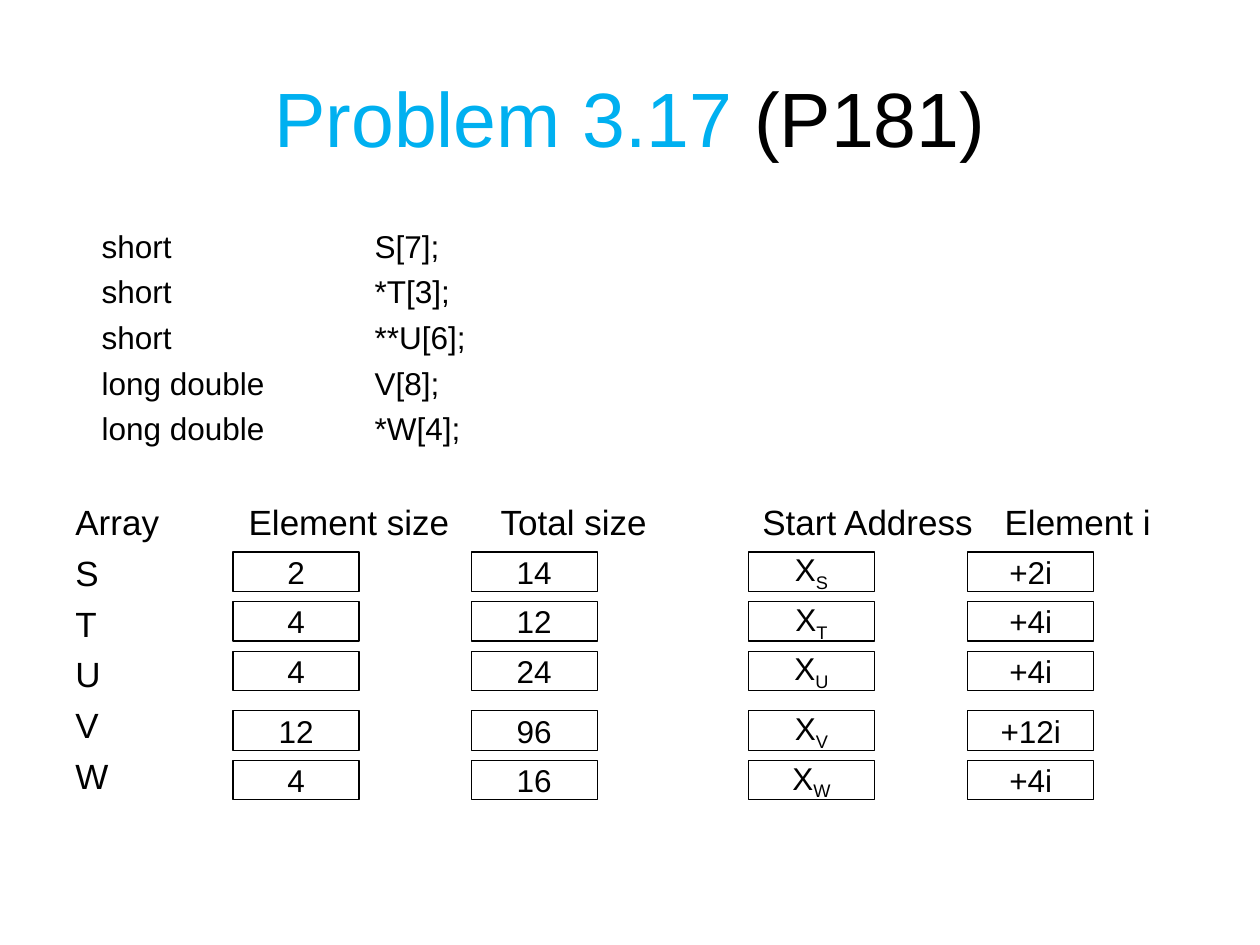
import pptx
import pptx.dml.color
import pptx.enum.shapes
import pptx.enum.text
import pptx.util

Pt = pptx.util.Pt
RGB = pptx.dml.color.RGBColor.from_string
ALIGN = pptx.enum.text.PP_ALIGN
ANCHOR = pptx.enum.text.MSO_ANCHOR

TITLE = [("Problem 3.17", "accent"), (" (P181)", "ink")]
DECLARATIONS = [
    "short\t\tS[7];",
    "short\t\t*T[3];",
    "short\t\t**U[6];",
    "long double\tV[8];",
    "long double\t*W[4];",
]
HEADINGS = "Array\tElement size\tTotal size\t Start Address\tElement i"
ANSWER_GROUPS = [
    [("S", "2", "14", "+2i"), ("T", "4", "12", "+4i"), ("U", "4", "24", "+4i")],
    [("V", "12", "96", "+12i"), ("W", "4", "16", "+4i")],
]

THEME = {
    "font": "Arial",
    "accent": RGB("00B0F0"),
    "ink": RGB("000000"),
    "paper": RGB("FFFFFF"),
    "title": 44,
    "code": 18,
    "heading": 20,
    "answer": 18,
    "line": 0.75,
}

HANGING = 27
CODE_INDENT = -12
TAB_STEP = 72
SPACING = 0.25
SECTION_GAP = 25.5
COLUMNS = (133.2, 269.3, 427.7, 553)
ANSWER_TOP, ANSWER_PITCH, GROUP_GAP = 315.4, 28.35, 5.67
ANSWER_SIZE = (72, 22.6)


def apply(obj, values):
    for name, value in values.items():
        setattr(obj, name, value)


def add_run(p, text, size, color="ink", baseline=None):
    r = p.add_run()
    r.text = text
    apply(r.font, {"name": THEME["font"], "size": Pt(THEME[size])})
    r.font.color.rgb = THEME[color]
    if baseline is not None:
        r._r.get_or_add_rPr().set("baseline", str(baseline))


def add_line(tf, text, size, first=False, indent=-HANGING, gap=0):
    p = tf.paragraphs[0] if first else tf.add_paragraph()
    p.space_before = Pt(0 if first else THEME[size] * SPACING + gap)
    pPr = p._p.get_or_add_pPr()
    for name, value in {"marL": HANGING, "indent": indent, "defTabSz": TAB_STEP}.items():
        pPr.set(name, str(Pt(value)))
    add_run(p, text, size)


def add_title(s):
    tf = s.shapes.add_textbox(Pt(36), Pt(21.6), Pt(648), Pt(90)).text_frame
    apply(tf, {"word_wrap": True, "vertical_anchor": ANCHOR.MIDDLE})
    p = tf.paragraphs[0]
    p.alignment = ALIGN.CENTER
    for text, color in TITLE:
        add_run(p, text, "title", color)


def add_body(s):
    tf = s.shapes.add_textbox(Pt(36), Pt(126), Pt(648), Pt(356.4)).text_frame
    tf.word_wrap = True
    for i, declaration in enumerate(DECLARATIONS):
        add_line(tf, declaration, "code", i == 0, CODE_INDENT)
    add_line(tf, HEADINGS, "heading", gap=SECTION_GAP)
    for group in ANSWER_GROUPS:
        for array, *_ in group:
            add_line(tf, array, "heading")


def add_answer(s, x, y, text, subscript=None):
    sp = s.shapes.add_shape(
        pptx.enum.shapes.MSO_SHAPE.RECTANGLE, Pt(x), Pt(y), *map(Pt, ANSWER_SIZE)
    )
    sp.shadow.inherit = False
    sp.fill.solid()
    sp.fill.fore_color.rgb = THEME["paper"]
    sp.line.color.rgb = THEME["ink"]
    sp.line.width = Pt(THEME["line"])
    tf = sp.text_frame
    apply(tf, {"word_wrap": False, "vertical_anchor": ANCHOR.MIDDLE})
    p = tf.paragraphs[0]
    p.alignment = ALIGN.CENTER
    add_run(p, text, "answer")
    if subscript:
        add_run(p, subscript, "answer", baseline=-25000)


def add_answers(s):
    y = ANSWER_TOP
    for group in ANSWER_GROUPS:
        for array, size, total, element in group:
            cells = ((size,), (total,), ("X", array), (element,))
            for x, cell in zip(COLUMNS, cells):
                add_answer(s, x, y, *cell)
            y += ANSWER_PITCH
        y += GROUP_GAP


def main():
    prs = pptx.Presentation()
    apply(prs, {"slide_width": Pt(720), "slide_height": Pt(540)})
    s = prs.slides.add_slide(prs.slide_layouts[6])
    add_title(s)
    add_body(s)
    add_answers(s)
    prs.save("out.pptx")


if __name__ == "__main__":
    main()
